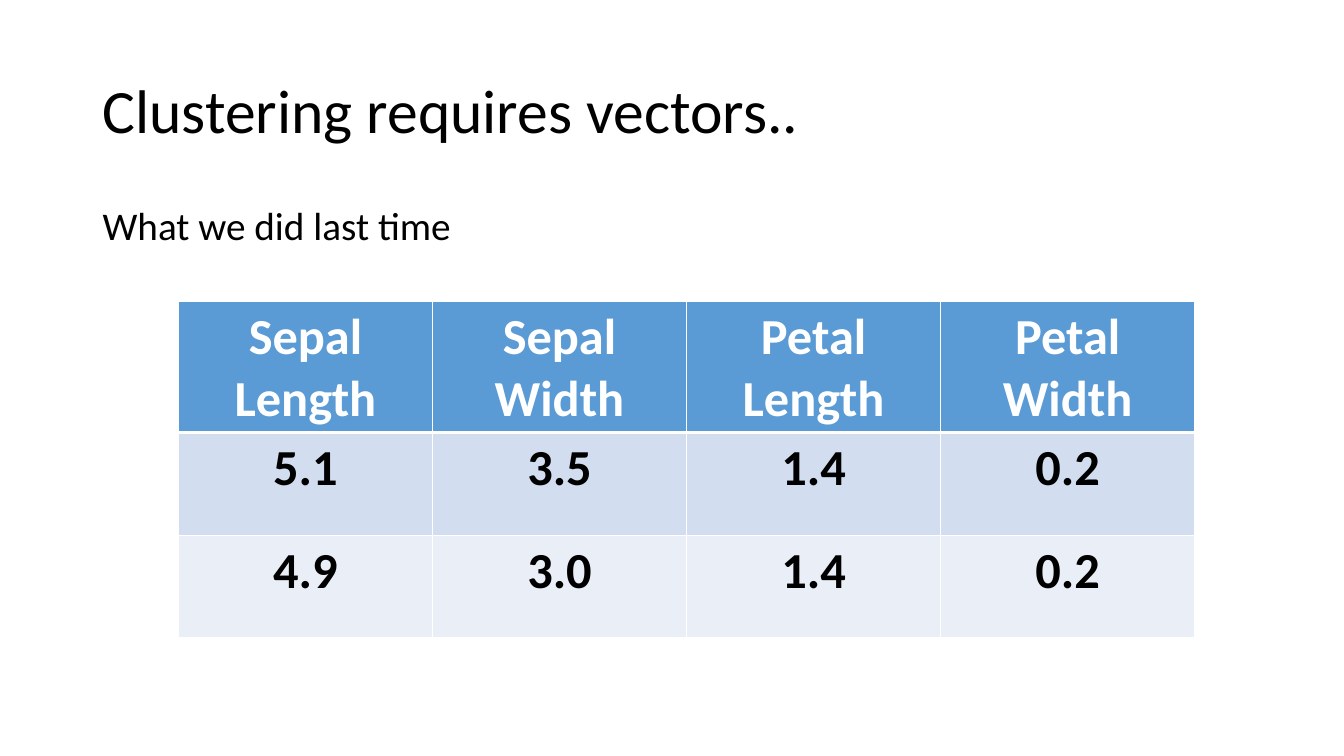
import pptx
import pptx.util
import pptx.dml.color
import pptx.enum.text
import pptx.oxml.ns
import lxml.etree

Inches = pptx.util.Inches
Pt = pptx.util.Pt
Anchor = pptx.enum.text.MSO_ANCHOR
Align = pptx.enum.text.PP_ALIGN

FONT = "Calibri"
BLACK, WHITE = "000000", "FFFFFF"
TITLE = "Clustering requires vectors.."
SUBTITLE = "What we did last time"
MEASUREMENTS = [
    ("Sepal Length", "Sepal Width", "Petal Length", "Petal Width"),
    ("5.1", "3.5", "1.4", "0.2"),
    ("4.9", "3.0", "1.4", "0.2"),
]
ROW_STYLES = [("5B9BD5", WHITE), ("D2DEEF", BLACK), ("EAEFF7", BLACK)]
COLUMN_WIDTH, ROW_HEIGHT = 2.52, 1.02


def color(value):
    return pptx.dml.color.RGBColor.from_string(value)


def style(para, size, font_color, bold=False):
    para.font.name = FONT
    para.font.size = Pt(size)
    para.font.bold = bold
    para.font.color.rgb = color(font_color)


def add_text(page, text, top, height, size, anchor, space_before=0):
    box = page.shapes.add_textbox(Inches(0.92), Inches(top), Inches(11.5), Inches(height))
    frame = box.text_frame
    frame.word_wrap = True
    frame.vertical_anchor = anchor
    para = frame.paragraphs[0]
    para.text = text
    para.line_spacing = 0.9
    para.space_before = Pt(space_before)
    style(para, size, BLACK)


def add_border(cell, side, width):
    properties = cell._tc.get_or_add_tcPr()
    name = pptx.oxml.ns.qn
    line = lxml.etree.SubElement(properties, name("a:ln" + side), w=str(Pt(width)))
    fill = lxml.etree.SubElement(line, name("a:solidFill"))
    lxml.etree.SubElement(fill, name("a:srgbClr"), val=WHITE)


deck = pptx.Presentation()
deck.slide_width, deck.slide_height = Inches(13.33), Inches(7.5)
page = deck.slides.add_slide(deck.slide_layouts[6])

add_text(page, TITLE, 0.4, 1.45, 44, Anchor.MIDDLE)
add_text(page, SUBTITLE, 2, 4.76, 28, Anchor.TOP, space_before=10)

row_count, column_count = len(MEASUREMENTS), len(MEASUREMENTS[0])
table = page.shapes.add_table(
    row_count, column_count, Inches(1.77), Inches(2.99),
    Inches(COLUMN_WIDTH * column_count), Inches(ROW_HEIGHT * row_count)).table
for column in table.columns:
    column.width = Inches(COLUMN_WIDTH)

for row_index, (values, (fill_color, font_color)) in enumerate(zip(MEASUREMENTS, ROW_STYLES)):
    table.rows[row_index].height = Inches(ROW_HEIGHT)
    for column_index, value in enumerate(values):
        cell = table.cell(row_index, column_index)
        for side in "LRTB":
            header_edge = (row_index, side) in [(0, "B"), (1, "T")]
            add_border(cell, side, 3 if header_edge else 1)
        cell.fill.solid()
        cell.fill.fore_color.rgb = color(fill_color)
        para = cell.text_frame.paragraphs[0]
        para.text = value
        para.alignment = Align.CENTER
        style(para, 36, font_color, bold=True)

deck.save("out.pptx")
